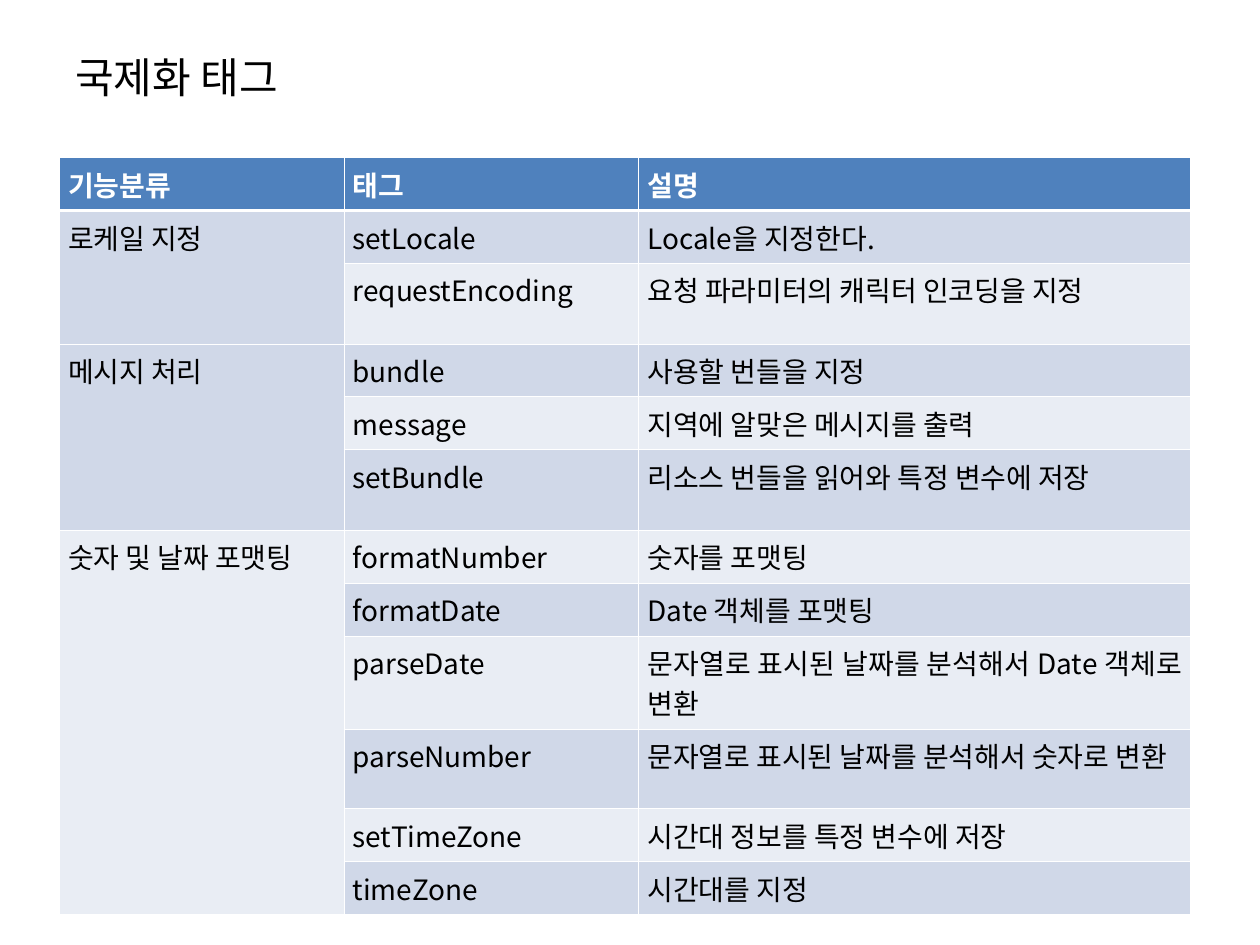
"""Build a slide that lists the internationalisation tags in a table."""
from dataclasses import dataclass

from lxml.etree import SubElement
from pptx import Presentation
from pptx.dml.color import RGBColor
from pptx.enum.text import MSO_ANCHOR, PP_ALIGN
from pptx.oxml.ns import qn
from pptx.util import Inches, Pt


@dataclass(frozen=True)
class Theme:
    font: str = "Noto Sans CJK KR"
    title_size: int = 24
    cell_size: int = 16
    ink: str = "000000"
    white: str = "FFFFFF"
    header: str = "4F81BD"
    dark_band: str = "D0D8E8"
    light_band: str = "E9EDF4"
    thin: float = 0.45
    thick: float = 1.47


theme = Theme()


def add_text(paragraph, text, size, color, bold=False):
    run = paragraph.add_run()
    run.text = text
    run.font.size = Pt(size)
    run.font.bold = bold
    run.font.color.rgb = RGBColor.from_string(color)
    run.font.name = theme.font
    SubElement(run.font._element, qn("a:ea"), typeface=theme.font)


def add_border(cell, side, width):
    line = SubElement(cell._tc.get_or_add_tcPr(), qn(f"a:ln{side}"), w=str(Pt(width)))
    SubElement(SubElement(line, qn("a:solidFill")), qn("a:srgbClr"), val=theme.white)


headings = ("기능분류", "태그", "설명")
groups = {
    "로케일 지정": [
        ("setLocale", "Locale을 지정한다."),
        ("requestEncoding", "요청 파라미터의 캐릭터 인코딩을 지정"),
    ],
    "메시지 처리": [
        ("bundle", "사용할 번들을 지정"),
        ("message", "지역에 알맞은 메시지를 출력"),
        ("setBundle", "리소스 번들을 읽어와 특정 변수에 저장"),
    ],
    "숫자 및 날짜 포맷팅": [
        ("formatNumber", "숫자를 포맷팅"),
        ("formatDate", "Date 객체를 포맷팅"),
        ("parseDate", "문자열로 표시된 날짜를 분석해서 Date 객체로 변환"),
        ("parseNumber", "문자열로 표시된 날짜를 분석해서 숫자로 변환"),
        ("setTimeZone", "시간대 정보를 특정 변수에 저장"),
        ("timeZone", "시간대를 지정"),
    ],
}
base_height = 0.42
tall_heights = {"requestEncoding": 0.64, "setBundle": 0.64, "parseDate": 0.74, "parseNumber": 0.63}
column_widths = (2.26, 2.34, 4.38)

rows = [headings]
spans = []
for category, tags in groups.items():
    spans.append((len(rows), len(rows) + len(tags) - 1))
    for index, (tag, description) in enumerate(tags):
        rows.append((category if index == 0 else "", tag, description))
row_heights = [tall_heights.get(tag, base_height) for _, tag, _ in rows]

prs = Presentation()
prs.slide_width, prs.slide_height = Inches(10), Inches(7.5)
slide = prs.slides.add_slide(prs.slide_layouts[6])

title = slide.shapes.add_textbox(Inches(0.5), Inches(0.3), Inches(9), Inches(0.61)).text_frame
title.word_wrap = True
title.vertical_anchor = MSO_ANCHOR.MIDDLE
add_text(title.paragraphs[0], "국제화 태그", theme.title_size, theme.ink)

tag_table = slide.shapes.add_table(
    len(rows), len(headings), Inches(0.47), Inches(1.25),
    Inches(sum(column_widths)), Inches(sum(row_heights)),
).table
tag_table.horz_banding = False
for column, width in zip(tag_table.columns, column_widths):
    column.width = Inches(width)
for row, height in zip(tag_table.rows, row_heights):
    row.height = Inches(height)

for r, texts in enumerate(rows):
    is_header = r == 0
    band = theme.header if is_header else theme.dark_band if r % 2 else theme.light_band
    for c, text in enumerate(texts):
        cell = tag_table.cell(r, c)
        cell.margin_left = cell.margin_right = Inches(0.07)
        cell.margin_top = cell.margin_bottom = Inches(0.05)
        add_border(cell, "L", theme.thin)
        add_border(cell, "R", theme.thin)
        add_border(cell, "T", theme.thick if r == 1 else theme.thin)
        add_border(cell, "B", theme.thick if is_header else theme.thin)
        cell.fill.solid()
        cell.fill.fore_color.rgb = RGBColor.from_string(band)
        if text:
            paragraph = cell.text_frame.paragraphs[0]
            paragraph.alignment = PP_ALIGN.JUSTIFY
            color = theme.white if is_header else theme.ink
            add_text(paragraph, text, theme.cell_size, color, is_header)

for first, last in spans:
    tag_table.cell(first, 0).merge(tag_table.cell(last, 0))

prs.save("out.pptx")
